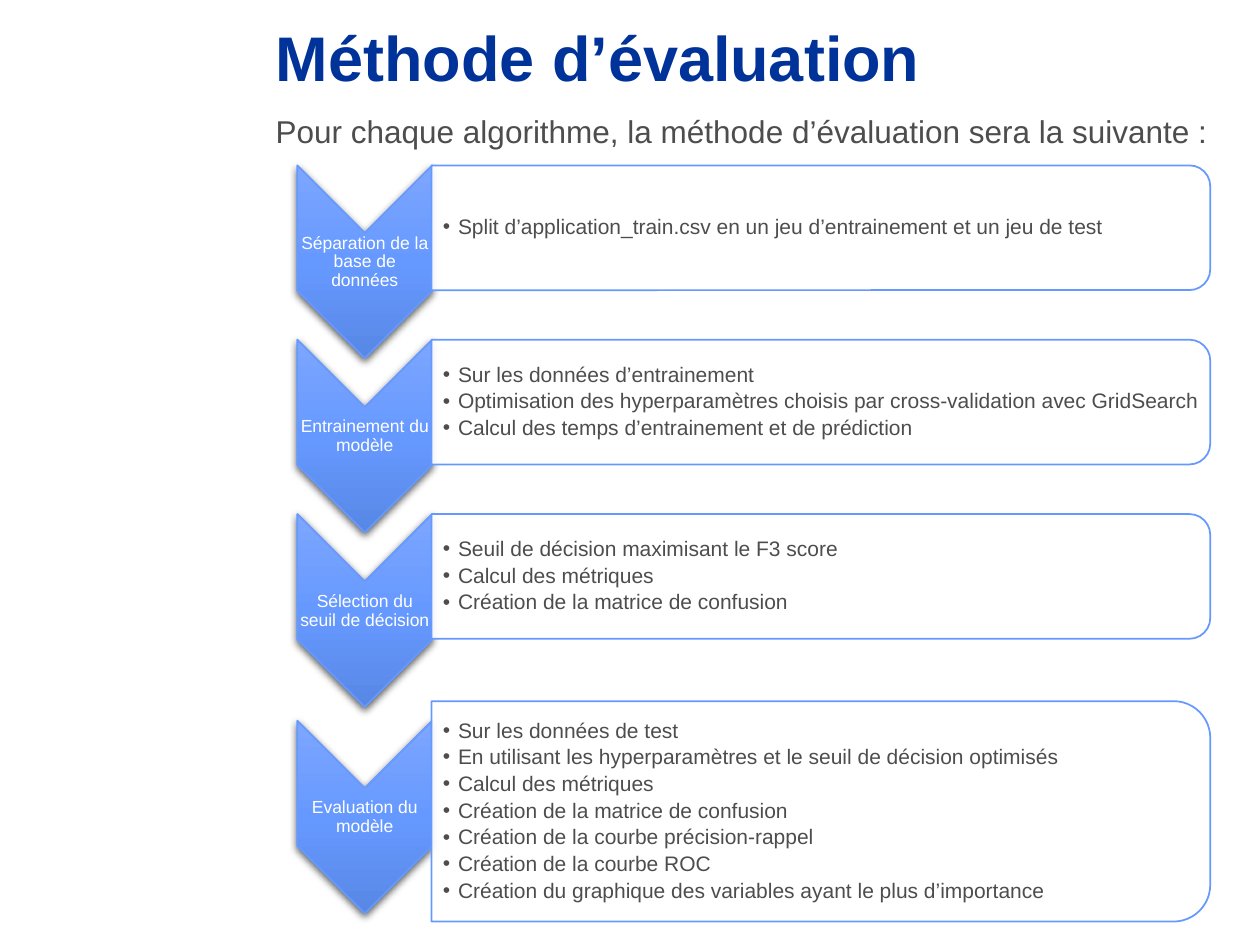
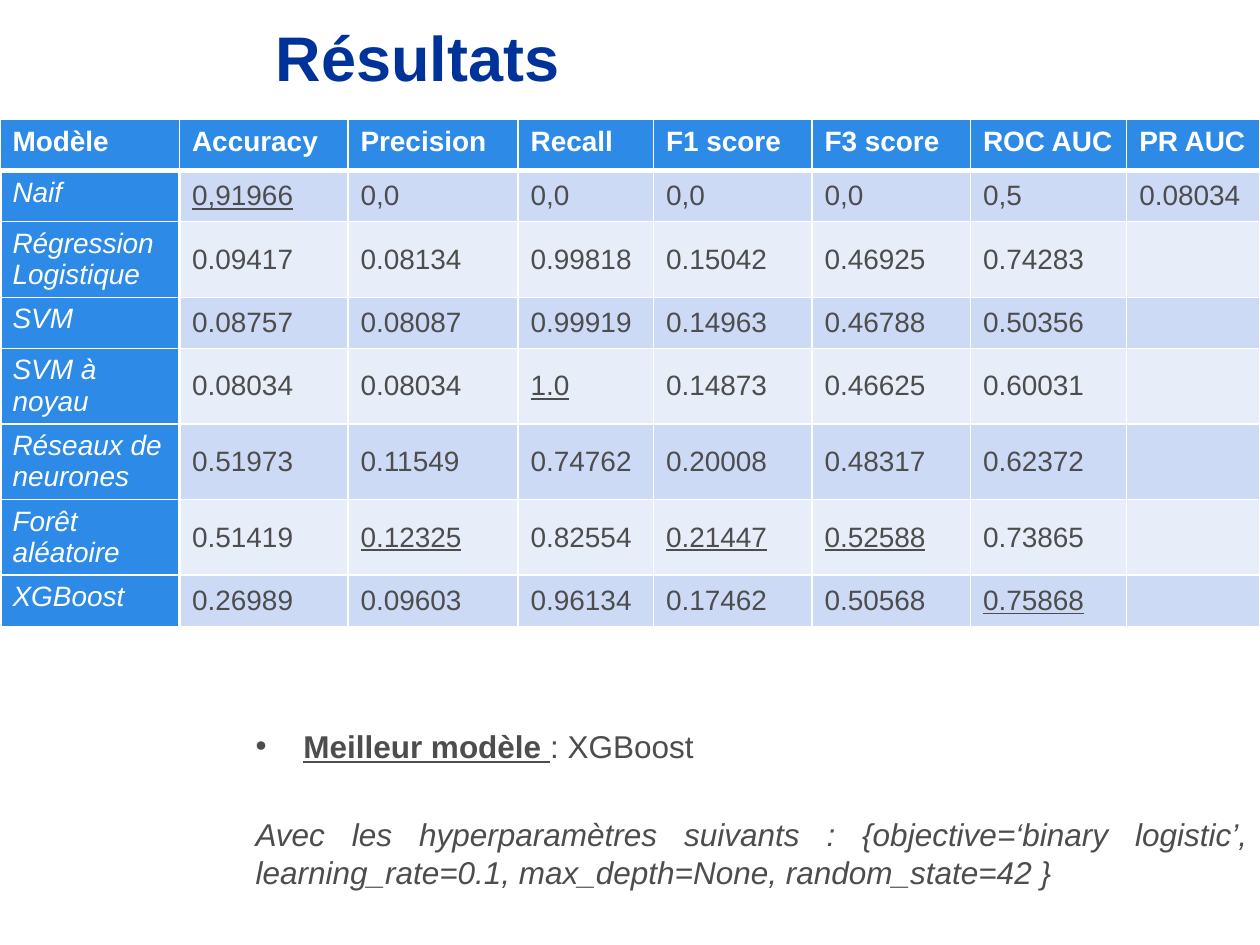
from dataclasses import dataclass, field
from typing import Any, NamedTuple

from lxml.etree import SubElement
from pptx import Presentation
from pptx.dml.color import RGBColor
from pptx.enum.shapes import MSO_SHAPE as Preset
from pptx.enum.text import MSO_ANCHOR as Anchor, MSO_AUTO_SIZE as AutoSize, PP_ALIGN as Align
from pptx.oxml import parse_xml
from pptx.oxml.ns import nsdecls, qn
from pptx.util import Emu, Inches, Pt

SLIDE_WIDTH, SLIDE_HEIGHT = Inches(10), Inches(7.5)


@dataclass(frozen=True)
class Theme:
    """Colours, font and type sizes of the deck."""

    font: str = "Arial"
    title: str = "003399"
    text: str = "4D4D4D"
    white: str = "FFFFFF"
    accent: str = "6699FF"
    gradient: tuple[str, ...] = ("7DA6FF", "6699FF", "5887E5")
    header: str = "2D8AE7"
    bands: tuple[str, ...] = ("CDDAF6", "E8EDFA")
    title_size: int = 36
    body_size: int = 18
    table_size: int = 16
    bullet_size: int = 12
    label_size: int = 10


THEME = Theme()


class Frame(NamedTuple):
    """A rectangle in percent of the slide's width and height."""

    left: float
    top: float
    width: float
    height: float

    def lengths(self) -> tuple[Emu, ...]:
        """Return left, top, width and height as lengths."""
        sides = (SLIDE_WIDTH, SLIDE_HEIGHT, SLIDE_WIDTH, SLIDE_HEIGHT)
        return tuple(Emu(round(share * side / 100)) for share, side in zip(self, sides))


class Span(NamedTuple):
    """A run of text with its font settings."""

    text: str
    size: int
    color: str = THEME.text
    extra: dict[str, bool] = {}


@dataclass(frozen=True)
class Para:
    """A paragraph: its spans, format and bullet indent in inches."""

    spans: tuple[Span, ...]
    values: dict[str, Any] = field(default_factory=dict)
    bullet_indent: float = 0


class Step(NamedTuple):
    """A stage of the method: label, details, tops and bar height in percent."""

    label: str
    details: tuple[str, ...]
    arrow_top: float
    bar_top: float
    bar_height: float
    padding: float


class Result(NamedTuple):
    """A model, its scores and the columns where it is best."""

    model: str
    scores: str
    best: tuple[int, ...] = ()


TITLE_FRAME = Frame(20.9, 0.67, 71.7, 10.53)
INTRO_FRAME = Frame(20.9, 11.2, 78, 5.2)
TABLE_FRAME = Frame(0, 12.67, 100, 53.33)
CONCLUSION_FRAME = Frame(19.3, 76.27, 80.7, 22)
ARROW_LEFT, ARROW_WIDTH, ARROW_HEIGHT = 23.6, 10.7, 20.4
LABEL_DROP, LABEL_HEIGHT = 7.2, 6.13
BAR_LEFT, BAR_WIDTH = 34.25, 61.8
FIRST_TOP, STEP_PITCH, BAR_HEIGHT = 17.5, 18.45, 13.2

STEP_TEXTS = (
    ("Séparation de la base de données",
     ("Split d’application_train.csv en un jeu d’entrainement et un jeu de test",)),
    ("Entrainement du modèle",
     ("Sur les données d’entrainement",
      "Optimisation des hyperparamètres choisis par cross-validation avec GridSearch",
      "Calcul des temps d’entrainement et de prédiction")),
    ("Sélection du seuil de décision",
     ("Seuil de décision maximisant le F3 score",
      "Calcul des métriques",
      "Création de la matrice de confusion")),
)
STEPS = [
    Step(label, details, FIRST_TOP + row * STEP_PITCH, FIRST_TOP + row * STEP_PITCH, BAR_HEIGHT, 0.6)
    for row, (label, details) in enumerate(STEP_TEXTS)
] + [
    Step("Evaluation du modèle",
         ("Sur les données de test",
          "En utilisant les hyperparamètres et le seuil de décision optimisés",
          "Calcul des métriques",
          "Création de la matrice de confusion",
          "Création de la courbe précision-rappel",
          "Création de la courbe ROC",
          "Création du graphique des variables ayant le plus d’importance"),
         76.27, 74.2, 23.33, 1.13),
]

HEADINGS = ("Modèle", "Accuracy", "Precision", "Recall", "F1 score", "F3 score", "ROC AUC", "PR AUC")
COLUMN_SHARES = (14.25, 13.37, 13.5, 10.75, 12.58, 12.58, 12.4, 10.57)
ROW_SHARES = (5.4, 5.4, 8, 5.4, 8, 8, 8, 5.4)
RESULTS = (
    Result("Naif", "0,91966 0,0 0,0 0,0 0,0 0,5 0.08034", (1,)),
    Result("Régression Logistique", "0.09417 0.08134 0.99818 0.15042 0.46925 0.74283"),
    Result("SVM", "0.08757 0.08087 0.99919 0.14963 0.46788 0.50356"),
    Result("SVM à noyau", "0.08034 0.08034 1.0 0.14873 0.46625 0.60031", (3,)),
    Result("Réseaux de neurones", "0.51973 0.11549 0.74762 0.20008 0.48317 0.62372"),
    Result("Forêt aléatoire", "0.51419 0.12325 0.82554 0.21447 0.52588 0.73865", (2, 4, 5)),
    Result("XGBoost", "0.26989 0.09603 0.96134 0.17462 0.50568 0.75868", (6,)),
)


def apply(target: Any, values: dict[str, Any]) -> None:
    """Set each named attribute of the target."""
    for name, value in values.items():
        setattr(target, name, value)


def write(text_frame: Any, paras: list[Para]) -> None:
    """Fill a text frame with formatted paragraphs."""
    for index, para in enumerate(paras):
        target = text_frame.add_paragraph() if index else text_frame.paragraphs[0]
        apply(target, para.values)
        if para.bullet_indent:
            properties = target._p.get_or_add_pPr()
            properties.set("marL", str(Inches(para.bullet_indent)))
            properties.set("indent", str(-Inches(para.bullet_indent)))
            SubElement(properties, qn("a:buFont")).set("typeface", THEME.font)
            SubElement(properties, qn("a:buChar")).set("char", "•")
        for span in para.spans:
            run = target.add_run()
            run.text = span.text
            apply(run.font, {"name": THEME.font, "size": Pt(span.size), **span.extra})
            run.font.color.rgb = RGBColor.from_string(span.color)


def add_text(page: Any, frame: Frame, paras: list[Para], **values: Any) -> None:
    """Add a wrapping text box."""
    box = page.shapes.add_textbox(*frame.lengths())
    apply(box.text_frame, {"word_wrap": True, **values})
    write(box.text_frame, paras)


def add_titled_page(deck: Any, title: str) -> Any:
    """Add a title-only page with the shared title style."""
    page = deck.slides.add_slide(deck.slide_layouts[5])
    holder = page.shapes.title
    apply(holder, dict(zip(("left", "top", "width", "height"), TITLE_FRAME.lengths())))
    apply(holder.text_frame, {"vertical_anchor": Anchor.MIDDLE, "auto_size": AutoSize.NONE})
    span = Span(title, THEME.title_size, THEME.title, {"bold": True})
    write(holder.text_frame, [Para((span,), {"alignment": Align.LEFT})])
    return page


def add_turned(page: Any, preset: Preset, frame: Frame) -> Any:
    """Add a preset shape turned a quarter so that it covers the frame."""
    left, top, width, height = frame.lengths()
    shift = (width - height) // 2
    shape = page.shapes.add_shape(preset, left + shift, top - shift, height, width)
    shape.rotation = 90
    shape.shadow.inherit = False
    shape.line.color.rgb = RGBColor.from_string(THEME.accent)
    shape.line.width = Pt(1)
    return shape


def add_arrow(page: Any, frame: Frame) -> None:
    """Add a downward chevron with a gradient and a soft shadow."""
    properties = add_turned(page, Preset.CHEVRON, frame).element.spPr
    stops = "".join(
        f'<a:gs pos="{index * 50000}"><a:srgbClr val="{color}"/></a:gs>'
        for index, color in enumerate(THEME.gradient)
    )
    properties.insert(2, parse_xml(
        f'<a:gradFill {nsdecls("a")} rotWithShape="0"><a:gsLst>{stops}</a:gsLst>'
        '<a:lin ang="5400000" scaled="0"/></a:gradFill>'
    ))
    properties.find(qn("a:effectLst")).append(parse_xml(
        f'<a:outerShdw {nsdecls("a")} blurRad="{Pt(4.5)}" dist="{Pt(1.5)}" dir="5400000" '
        'rotWithShape="0"><a:srgbClr val="000000"><a:alpha val="63000"/></a:srgbClr></a:outerShdw>'
    ))


def add_bar(page: Any, frame: Frame) -> None:
    """Add a translucent white bar rounded on its right side."""
    bar = add_turned(page, Preset.ROUND_2_SAME_RECTANGLE, frame)
    bar.fill.solid()
    bar.fill.fore_color.rgb = RGBColor.from_string(THEME.white)
    color = bar.element.spPr.find(qn("a:solidFill")).find(qn("a:srgbClr"))
    SubElement(color, qn("a:alpha")).set("val", "90000")


def add_step(page: Any, step: Step) -> None:
    """Draw one stage: arrow, label, bar and bullets."""
    margins = dict.fromkeys(("margin_left", "margin_top", "margin_right", "margin_bottom"), Inches(0.01))
    margins["vertical_anchor"] = Anchor.MIDDLE
    add_arrow(page, Frame(ARROW_LEFT, step.arrow_top, ARROW_WIDTH, ARROW_HEIGHT))
    label = Span(step.label, THEME.label_size, THEME.white)
    add_text(page, Frame(ARROW_LEFT, step.arrow_top + LABEL_DROP, ARROW_WIDTH, LABEL_HEIGHT),
             [Para((label,), {"alignment": Align.CENTER, "line_spacing": 0.9})], **margins)
    add_bar(page, Frame(BAR_LEFT, step.bar_top, BAR_WIDTH, step.bar_height))
    spacing = {"line_spacing": 0.9, "space_after": Pt(2.3)}
    details = [Para((Span(text, THEME.bullet_size),), spacing, 0.12) for text in step.details]
    inner = Frame(BAR_LEFT, step.bar_top + step.padding, BAR_WIDTH - 0.5, step.bar_height - 2 * step.padding)
    add_text(page, inner, details, **{**margins, "margin_left": Inches(0.09)})


def add_borders(cell: Any, widths: dict[str, float]) -> None:
    """Draw white cell borders, ahead of the cell's fill."""
    properties = cell._tc.get_or_add_tcPr()
    for index, (side, width) in enumerate(widths.items()):
        properties.insert(index, parse_xml(
            f'<a:{side} {nsdecls("a")} w="{Pt(width)}"><a:solidFill>'
            f'<a:srgbClr val="{THEME.white}"/></a:solidFill></a:{side}>'
        ))


def add_results(page: Any) -> None:
    """Add the table of model scores."""
    shape = page.shapes.add_table(len(RESULTS) + 1, len(HEADINGS), *TABLE_FRAME.lengths())
    table = shape.table
    for column, share in zip(table.columns, COLUMN_SHARES):
        column.width = Emu(round(SLIDE_WIDTH * share / 100))
    for row, share in zip(table.rows, ROW_SHARES):
        row.height = Emu(round(SLIDE_HEIGHT * share / 100))
    rows = [HEADINGS] + [(result.model, *result.scores.split()) for result in RESULTS]
    for row, texts in enumerate(rows):
        for column in range(len(HEADINGS)):
            cell = table.cell(row, column)
            heading, model = row == 0, column == 0
            side = 2.25 if model and not heading else 1
            cell.fill.solid()
            cell.fill.fore_color.rgb = RGBColor.from_string(
                THEME.header if heading or model else THEME.bands[(row - 1) % 2])
            add_borders(cell, {
                "lnL": 2.25 if column == 1 and not heading else side, "lnR": side,
                "lnT": 3 if row == 1 else 1, "lnB": 3 if heading else 1,
            })
            cell.vertical_anchor = Anchor.TOP if heading or model else Anchor.MIDDLE
            if column < len(texts):
                best = not heading and column in RESULTS[row - 1].best
                extra = {"bold": heading, "italic": model and not heading, "underline": best}
                color = THEME.white if heading or model else THEME.text
                write(cell.text_frame, [Para((Span(texts[column], THEME.table_size, color, extra),))])


def add_conclusion(page: Any) -> None:
    """Name the best model and its settings."""
    size = THEME.body_size
    best = Span("Meilleur modèle ", size, extra={"bold": True, "underline": True})
    settings = Span("Avec les hyperparamètres suivants : {objective=‘binary logistic’, "
                    "learning_rate=0.1, max_depth=None, random_state=42 }", size, extra={"italic": True})
    justified = {"alignment": Align.JUSTIFY}
    add_text(page, CONCLUSION_FRAME, [
        Para((best, Span(": XGBoost", size)), justified, 0.38),
        Para((settings,), {**justified, "space_before": Pt(29)}),
    ])


def main() -> None:
    """Build and save the deck."""
    deck = Presentation()
    apply(deck, {"slide_width": SLIDE_WIDTH, "slide_height": SLIDE_HEIGHT})
    method = add_titled_page(deck, "Méthode d’évaluation")
    intro = Span("Pour chaque algorithme, la méthode d’évaluation sera la suivante :", THEME.body_size)
    add_text(method, INTRO_FRAME, [Para((intro,), {"alignment": Align.JUSTIFY})])
    for step in STEPS:
        add_step(method, step)
    results = add_titled_page(deck, "Résultats")
    add_results(results)
    add_conclusion(results)
    deck.save("out.pptx")


if __name__ == "__main__":
    main()
